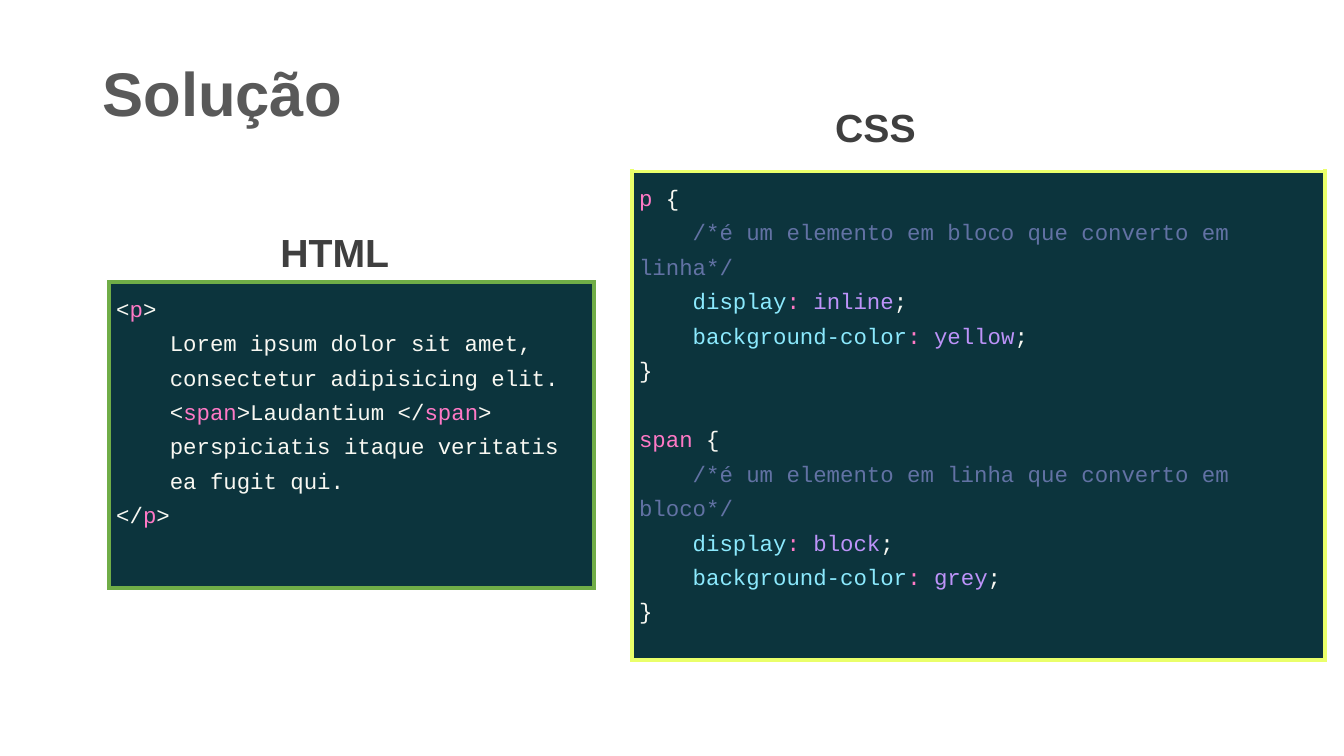
from lxml import etree
from pptx import Presentation
from pptx import util as u
from pptx.dml.color import RGBColor
from pptx.enum import text
from pptx.oxml import ns

UNIT = u.Inches(1) / 12
PALETTE = {"plain": "F8F8F2", "tag": "FF79C6", "note": "6272A4",
           "property": "8BE9FD", "value": "BD93F9"}


def colour(hex_code):
    """Turn a hex string into a colour."""
    return RGBColor.from_string(hex_code)


def grid(*counts):
    """Convert counts of twelfth-inch grid cells to lengths."""
    return [u.Emu(round(count * UNIT)) for count in counts]


def style(font, name, size, hex_code, bold=False):
    """Format a font."""
    font.name, font.size, font.bold = name, u.Pt(size), bold
    font.color.rgb = colour(hex_code)


def add_title(slide, box, wording):
    """Place and format the slide title."""
    title = slide.shapes.title
    title.left, title.top, title.width, title.height = grid(*box)
    frame = title.text_frame
    frame.text = wording
    frame.auto_size = text.MSO_AUTO_SIZE.NONE
    frame.vertical_anchor = text.MSO_ANCHOR.MIDDLE
    line = frame.paragraphs[0]
    line.alignment = text.PP_ALIGN.LEFT
    line.line_spacing = 0.9
    style(line.font, "Arial", 44, "595959", True)


def add_heading(slide, box, wording):
    """Add a centred heading for a code panel."""
    frame = slide.shapes.add_textbox(*grid(*box)).text_frame
    frame.word_wrap = True
    frame.margin_top = frame.margin_bottom = u.Inches(0.1)
    line = frame.paragraphs[0]
    line.text = wording
    line.alignment = text.PP_ALIGN.CENTER
    line.line_spacing = 1.15
    style(line.font, "Arial", 28, "3F3F3F", True)


def add_borders(cell, hex_code, points):
    """Draw the four borders of a cell."""
    properties = cell._tc.get_or_add_tcPr()
    for side in ("a:lnL", "a:lnR", "a:lnT", "a:lnB"):
        border = etree.SubElement(properties, ns.qn(side), w=str(u.Pt(points)))
        fill = etree.SubElement(border, ns.qn("a:solidFill"))
        etree.SubElement(fill, ns.qn("a:srgbClr"), val=hex_code)


def add_code_panel(slide, box, heading, heading_offset, border, code):
    """Add a heading and a bordered one-cell table of coloured code."""
    left, top = box[:2]
    right, down, width, height = heading_offset
    add_heading(slide, (left + right, top + down, width, height), heading)
    table = slide.shapes.add_table(1, 1, *grid(*box)).table
    table.first_row = table.horz_banding = False
    cell = table.cell(0, 0)
    cell.margin_left = cell.margin_right = u.Inches(0.07)
    cell.margin_top = cell.margin_bottom = u.Inches(0.07)
    add_borders(cell, border, 3)
    cell.fill.solid()
    cell.fill.fore_color.rgb = colour("0C343D")
    for number, tokens in enumerate(code):
        frame = cell.text_frame
        line = frame.add_paragraph() if number else frame.paragraphs[0]
        line.line_spacing = 1.36
        style(line.font, "Courier New", 16, PALETTE["plain"])
        for kind, wording in tokens:
            run = line.add_run()
            run.text = wording
            style(run.font, "Courier New", 16, PALETTE[kind])


def declaration(name, value):
    """Return the tokens of one CSS declaration."""
    return [("plain", "    "), ("property", name), ("tag", ": "),
            ("value", value), ("plain", ";")]


def css_rule(selector, note, display, background):
    """Return the token lines of one CSS rule."""
    return [[("tag", selector), ("plain", " {")],
            [("plain", "    "), ("note", f"/*{note}*/")],
            declaration("display", display),
            declaration("background-color", background),
            [("plain", "}")]]


def html_code():
    """Return the token lines of the HTML sample."""
    return [[("plain", "<"), ("tag", "p"), ("plain", ">")],
            [("plain", "    Lorem ipsum dolor sit amet,")],
            [("plain", "    consectetur adipisicing elit.")],
            [("plain", "    <"), ("tag", "span"), ("plain", ">Laudantium </"),
             ("tag", "span"), ("plain", ">")],
            [("plain", "    perspiciatis itaque veritatis")],
            [("plain", "    ea fugit qui.")],
            [("plain", "</"), ("tag", "p"), ("plain", ">")]]


def css_code():
    """Return the token lines of the CSS sample."""
    paragraph = css_rule("p", "é um elemento em bloco que converto em linha",
                         "inline", "yellow")
    span = css_rule("span", "é um elemento em linha que converto em bloco",
                    "block", "grey")
    return paragraph + [[]] + span


def add_solution_slide(deck):
    """Build the slide with the HTML and CSS panels."""
    slide = deck.slides.add_slide(deck.slide_layouts[5])
    add_title(slide, (11, 5, 135.25, 13), "Solução")
    add_code_panel(slide, (75.25, 20.4, 82.5, 49.5), "CSS",
                   (21.85, -10.1, 14.25, 8.2), "EAFF6A", css_code())
    add_code_panel(slide, (13, 33.6, 57.7, 36.4), "HTML",
                   (15.95, -8.4, 21.8, 7.6), "70AD47", html_code())


def main():
    """Create and save the deck."""
    deck = Presentation()
    deck.slide_width, deck.slide_height = grid(160, 90)
    add_solution_slide(deck)
    deck.save("out.pptx")


if __name__ == "__main__":
    main()
